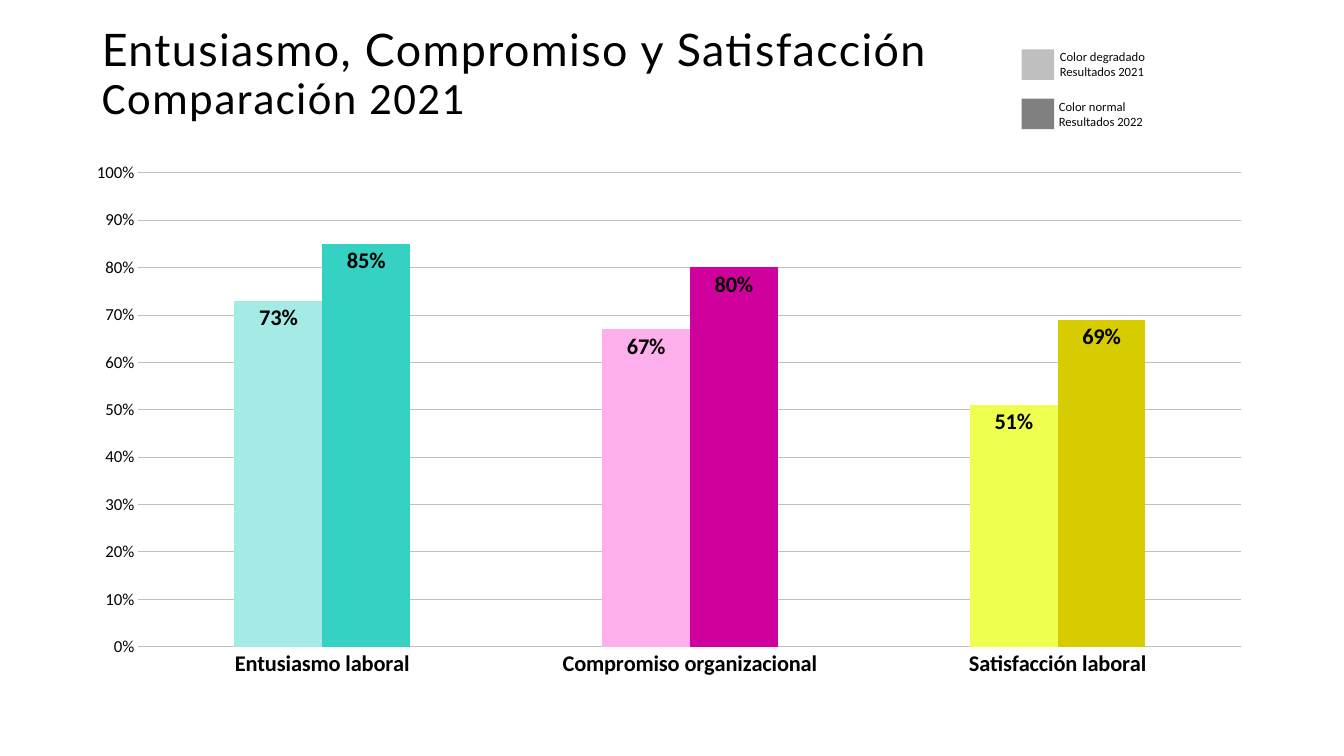
from dataclasses import dataclass

from lxml.etree import SubElement
from pptx import Presentation
from pptx.chart.data import CategoryChartData
from pptx.dml.color import RGBColor
from pptx.enum.chart import XL_CHART_TYPE, XL_LABEL_POSITION, XL_TICK_MARK
from pptx.enum.shapes import MSO_SHAPE
from pptx.enum.text import MSO_ANCHOR, MSO_AUTO_SIZE, PP_ALIGN
from pptx.oxml import parse_xml
from pptx.oxml.ns import nsdecls, qn
from pptx.util import Emu, Pt

PX = 9525
COLORS = {
    "black": "000000",
    "ink": "07080B",
    "grid": "BFBFBF",
    "grey_2021": "BFBFBF",
    "grey_2022": "808080",
    "teal_light": "A3EBE4",
    "teal": "35D2C4",
    "pink_light": "FFAFEC",
    "magenta": "CF009C",
    "yellow_light": "EEFF4F",
    "yellow": "D6CC00",
    "lime": "C3D600",
}
CATEGORIES = ["Entusiasmo laboral", "Compromiso organizacional", "Satisfacción laboral"]
PLOT_AREA = {"x": 0.055, "y": 0.04, "w": 0.92, "h": 0.88}


@dataclass(frozen=True)
class LegendEntry:
    color: str
    lines: tuple[str, str]
    top: int
    text_left: int
    text_width: int


@dataclass(frozen=True)
class BarSeries:
    name: str
    values: tuple[float, ...]
    color: str
    point_colors: tuple[str, ...]


LEGEND = [
    LegendEntry("grey_2021", ("Color degradado", "Resultados 2021"), 47, 1000, 213),
    LegendEntry("grey_2022", ("Color normal", "Resultados 2022"), 94, 999, 258),
]
SERIES = [
    BarSeries("Series 1", (0.73, 0.67, 0.51), "teal",
              ("teal_light", "pink_light", "yellow_light")),
    BarSeries("Series 2", (0.85, 0.8, 0.69), "lime",
              ("teal", "magenta", "yellow")),
]


def px(length: int) -> Emu:
    return Emu(length * PX)


def frame(left: int, top: int, width: int, height: int) -> tuple[Emu, ...]:
    return px(left), px(top), px(width), px(height)


def rgb(name: str) -> RGBColor:
    return RGBColor.from_string(COLORS[name])


def paint(fill, color: str) -> None:
    fill.solid()
    fill.fore_color.rgb = rgb(color)


def style_font(font, size: int, color: str = "black", bold: bool = False) -> None:
    font.name = "Calibri"
    font.size = Pt(size)
    font.bold = bold
    font.color.rgb = rgb(color)


def style_line(line, color: str, width: float) -> None:
    line.color.rgb = rgb(color)
    line.width = Pt(width)


def draw_title(page) -> None:
    title = page.shapes.title
    title.left, title.top, title.width, title.height = frame(97, 26, 822, 102)
    text = title.text_frame
    text.margin_left = text.margin_top = text.margin_right = text.margin_bottom = 0
    text.vertical_anchor = MSO_ANCHOR.TOP
    text.auto_size = MSO_AUTO_SIZE.NONE
    text.word_wrap = True
    text.text = "Entusiasmo, Compromiso y Satisfacción\vComparación 2021"
    para = text.paragraphs[0]
    para.alignment = PP_ALIGN.LEFT
    para.line_spacing = 0.9
    para.font.size = Pt(32)
    para.font.color.rgb = rgb("black")
    for span, font_name in zip(para.runs, ("Lato", "Calibri")):
        span.font.name = font_name
        span.font._element.set("spc", "100")
    line_break = para._p.find(qn("a:br"))
    SubElement(line_break, qn("a:rPr")).set("sz", "3200")


def draw_legend_entry(page, entry: LegendEntry) -> None:
    swatch = page.shapes.add_shape(MSO_SHAPE.RECTANGLE, *frame(973, entry.top, 31, 29))
    swatch.shadow.inherit = False
    paint(swatch.fill, entry.color)
    swatch.line.fill.background()
    box = page.shapes.add_textbox(
        *frame(entry.text_left, entry.top - 5, entry.text_width, 38))
    text = box.text_frame
    text.word_wrap = True
    text.auto_size = MSO_AUTO_SIZE.SHAPE_TO_FIT_TEXT
    text.text = "\n".join(entry.lines)
    for para in text.paragraphs:
        style_font(para.font, 9, "ink")


def place_plot(chart) -> None:
    plot_area = chart._chartSpace.chart.plotArea
    for layout in plot_area.findall(qn("c:layout")):
        plot_area.remove(layout)
    modes = '<c:xMode val="edge"/><c:yMode val="edge"/>'
    sizes = "".join(f'<c:{key} val="{value}"/>' for key, value in PLOT_AREA.items())
    plot_area.insert(0, parse_xml(
        f'<c:layout {nsdecls("c")}><c:manualLayout><c:layoutTarget val="inner"/>'
        f"{modes}{sizes}</c:manualLayout></c:layout>"))


def style_axes(chart) -> None:
    for axis, size, bold in ((chart.category_axis, 16, True), (chart.value_axis, 12, False)):
        axis.major_tick_mark = axis.minor_tick_mark = XL_TICK_MARK.NONE
        style_font(axis.tick_labels.font, size, bold=bold)
    style_line(chart.category_axis.format.line, "grid", 0.75)
    scale = chart.value_axis
    scale.minimum_scale, scale.maximum_scale, scale.major_unit = 0, 1, 0.1
    scale.tick_labels.number_format = "0%"
    scale.tick_labels.number_format_is_linked = False
    scale.format.line.fill.background()
    scale.has_major_gridlines = True
    style_line(scale.major_gridlines.format.line, "grid", 0.5)


def style_series(series, look: BarSeries) -> None:
    paint(series.format.fill, look.color)
    series.invert_if_negative = False
    for index, color in enumerate(look.point_colors):
        paint(series.points[index].format.fill, color)
    labels = series.data_labels
    labels.show_value = True
    labels.number_format = "0%"
    labels.number_format_is_linked = False
    labels.position = XL_LABEL_POSITION.INSIDE_END
    style_font(labels.font, 16, bold=True)


def draw_chart(page) -> None:
    data = CategoryChartData(number_format="0%")
    data.categories = CATEGORIES
    for look in SERIES:
        data.add_series(look.name, look.values)
    chart = page.shapes.add_chart(
        XL_CHART_TYPE.COLUMN_CLUSTERED, *frame(69, 144, 1142, 513), data).chart
    chart.has_title = False
    chart.has_legend = False
    style_font(chart.font, 10)
    plot = chart.plots[0]
    plot.gap_width = 219
    plot.overlap = 0
    plot.vary_by_categories = False
    style_axes(chart)
    for series, look in zip(plot.series, SERIES):
        style_series(series, look)
    place_plot(chart)


def main() -> None:
    deck = Presentation()
    deck.slide_width, deck.slide_height = px(1280), px(720)
    page = deck.slides.add_slide(deck.slide_layouts[5])
    draw_title(page)
    for entry in LEGEND:
        draw_legend_entry(page, entry)
    draw_chart(page)
    deck.save("out.pptx")


if __name__ == "__main__":
    main()
